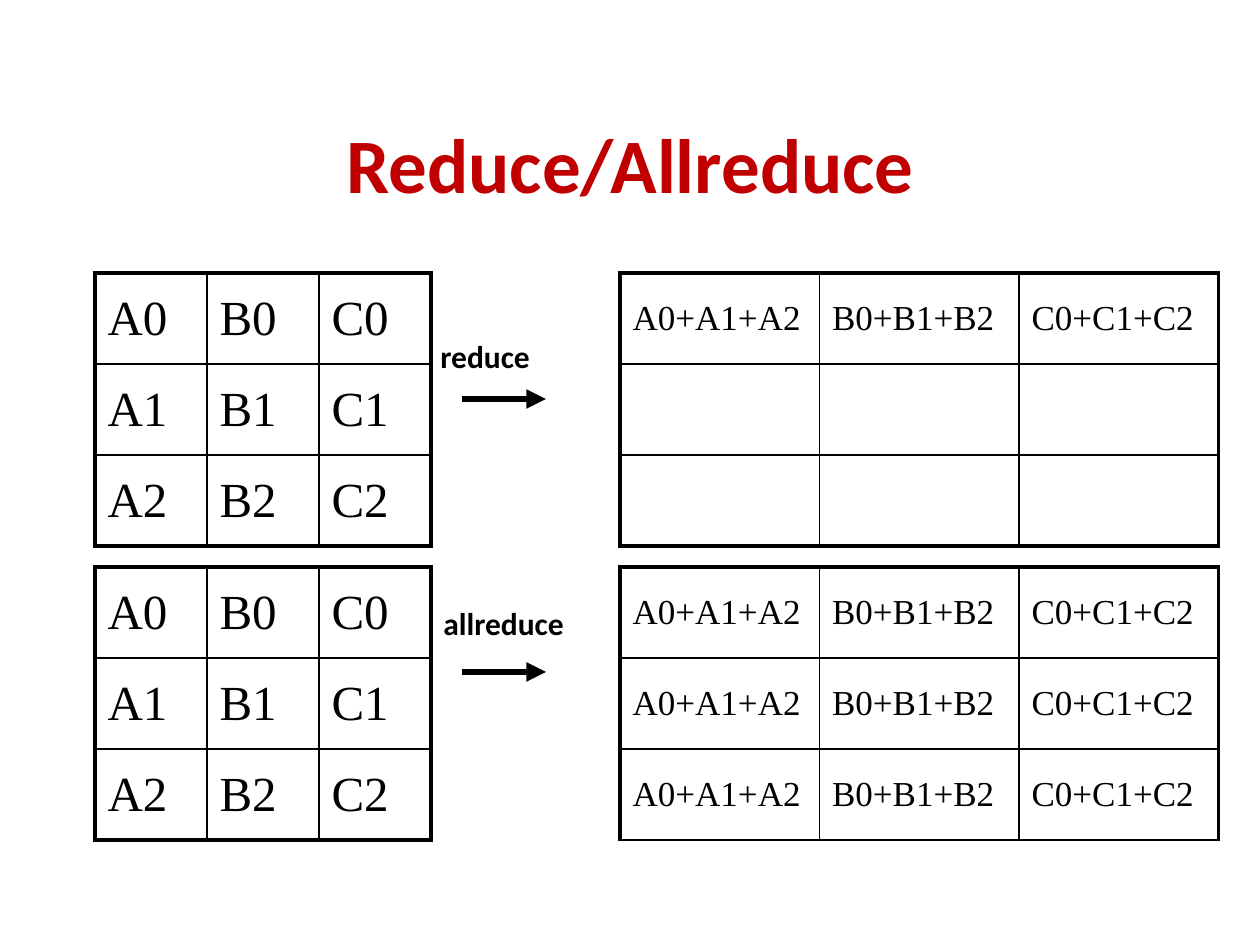
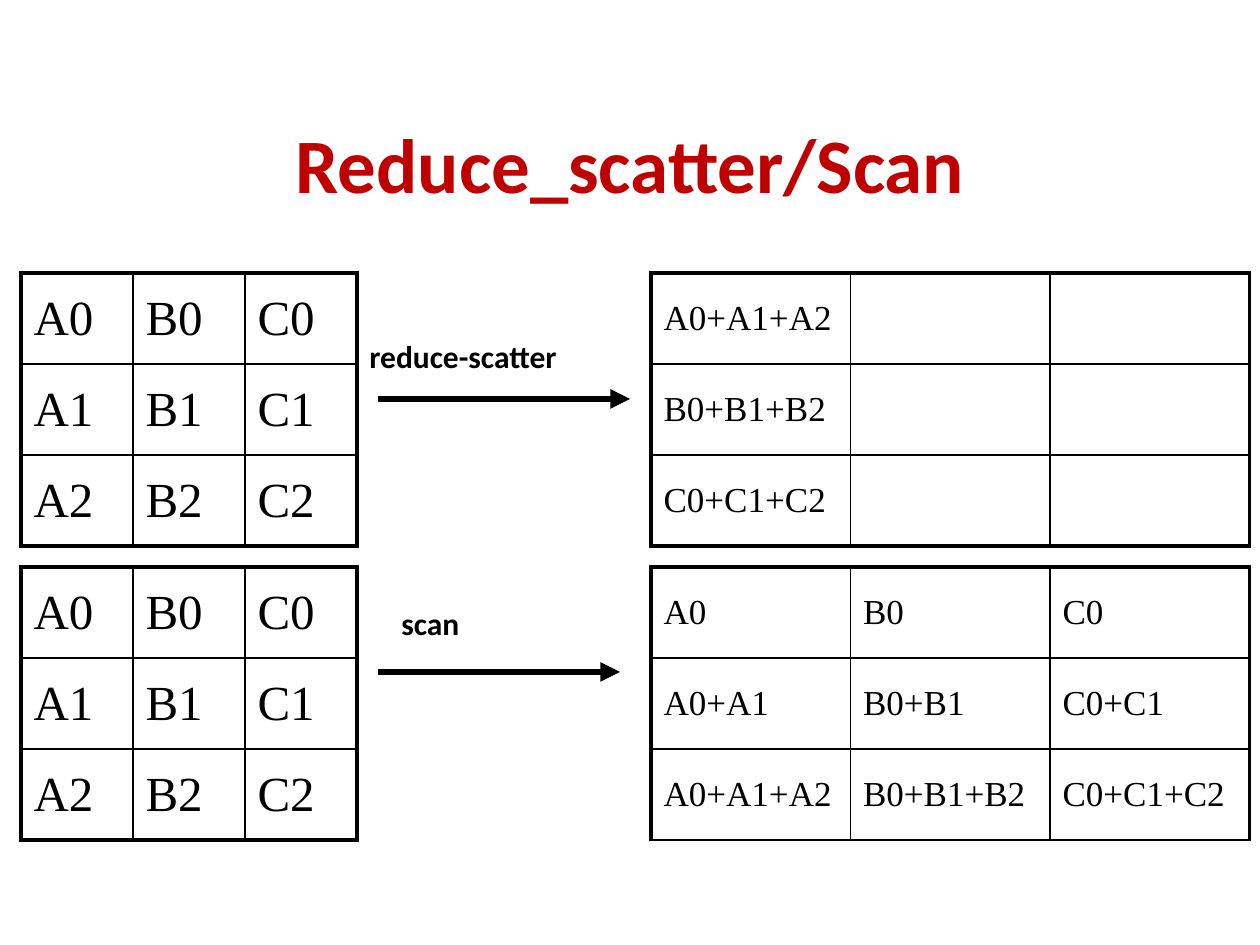
from lxml import etree
from pptx import Presentation
from pptx import util as u
from pptx.dml.color import RGBColor
from pptx.enum import shapes, text
from pptx.oxml.ns import qn

RED, BLACK = "C00000", "000000"
SANS, SERIF = "Calibri", "Times New Roman"
THIN, THICK = 1, 2.25
SIDE, ROW = 3, 91
COL, WIDE = 112, 199.5
TOP, LOW = 273, 567


def px(n):
    return round(n * 914400 / 126)


def tint(code):
    return RGBColor.from_string(code)


def style(para, size, face, code=BLACK, bold=False):
    font = para.font
    font.size, font.name, font.bold = u.Pt(size), face, bold
    font.color.rgb = tint(code)


def edge(cell, side, width):
    props = cell._tc.get_or_add_tcPr()
    line = etree.SubElement(props, qn("a:ln" + side), w=str(u.Pt(width)))
    fill = etree.SubElement(line, qn("a:solidFill"))
    etree.SubElement(fill, qn("a:srgbClr"), val=BLACK)


def grid(slide, left, top, col, rows, size, base=THICK):
    frame = slide.shapes.add_table(SIDE, SIDE, px(left), px(top),
                                   px(col * SIDE), px(ROW * SIDE))
    table = frame.table
    table.first_row = table.horz_banding = False
    for i in range(SIDE):
        table.columns[i].width = px(col)
        table.rows[i].height = px(ROW)
    last = SIDE - 1
    for r, row in enumerate(rows):
        for c, word in enumerate(row):
            cell = table.cell(r, c)
            cell.text = word
            cell.vertical_anchor = text.MSO_ANCHOR.MIDDLE
            style(cell.text_frame.paragraphs[0], size, SERIF)
            edge(cell, "L", THICK if c == 0 else THIN)
            edge(cell, "R", THICK if c == last else THIN)
            edge(cell, "T", THICK if r == 0 else THIN)
            edge(cell, "B", base if r == last else THIN)
            cell.fill.background()


def arrow(slide, start, end, y):
    line = slide.shapes.add_connector(shapes.MSO_CONNECTOR.STRAIGHT,
                                      px(start), px(y), px(end), px(y))
    line.line.color.rgb = tint(BLACK)
    line.line.width = u.Pt(3.75)
    etree.SubElement(line.line._get_or_add_ln(), qn("a:tailEnd"), type="triangle")
    etree.SubElement(line._element.spPr, qn("a:effectLst"))


def label(slide, word, left, top, width):
    box = slide.shapes.add_textbox(px(left), px(top), px(width), px(63))
    box.text_frame.word_wrap = True
    para = box.text_frame.paragraphs[0]
    para.text = word
    style(para, 18, SANS, bold=True)


def head(slide, words):
    title = slide.shapes.title
    title.left, title.top, title.width, title.height = map(px, (95, 84, 1071, 158))
    title.text_frame.vertical_anchor = text.MSO_ANCHOR.MIDDLE
    para = title.text_frame.paragraphs[0]
    para.text = words
    para.alignment = text.PP_ALIGN.CENTER
    style(para, 44, SANS, RED, True)


def band(slide, left, right, top, name, tag, shaft, rows):
    upper = top == TOP
    source = [[f"{x}{i}" for x in "ABC"] for i in range(SIDE)]
    grid(slide, left, top, COL, source, 28)
    grid(slide, right, top, WIDE, rows, 20, THICK if upper else THIN)
    arrow(slide, *shaft, top + (126 if upper else 105))
    label(slide, name, *tag[:1], top + (58 if upper else 31), tag[1])


def page(deck, words, left, right, *bands):
    slide = deck.slides.add_slide(deck.slide_layouts[5])
    head(slide, words)
    for top, parts in zip((TOP, LOW), bands):
        band(slide, left, right, top, *parts)


def total(letter, count):
    return "+".join(f"{letter}{i}" for i in range(count))


def main():
    deck = Presentation()
    deck.slide_width, deck.slide_height = px(1260), px(945)
    sums = [total(x, SIDE) for x in "ABC"]
    void = [""] * SIDE
    scan = [[total(x, n) for x in "ABC"] for n in range(1, SIDE + 1)]
    page(deck, "Reduce/Allreduce", 95, 620,
         ("reduce", (428, 146), (462, 546), [sums, void, void]),
         ("allreduce", (431, 190), (462, 546), [sums] * SIDE))
    page(deck, "Reduce_scatter/Scan", 21, 651,
         ("reduce-scatter", (357, 282), (378, 630), [[s, "", ""] for s in sums]),
         ("scan", (389, 105), (378, 620), scan))
    deck.save("out.pptx")


if __name__ == "__main__":
    main()
